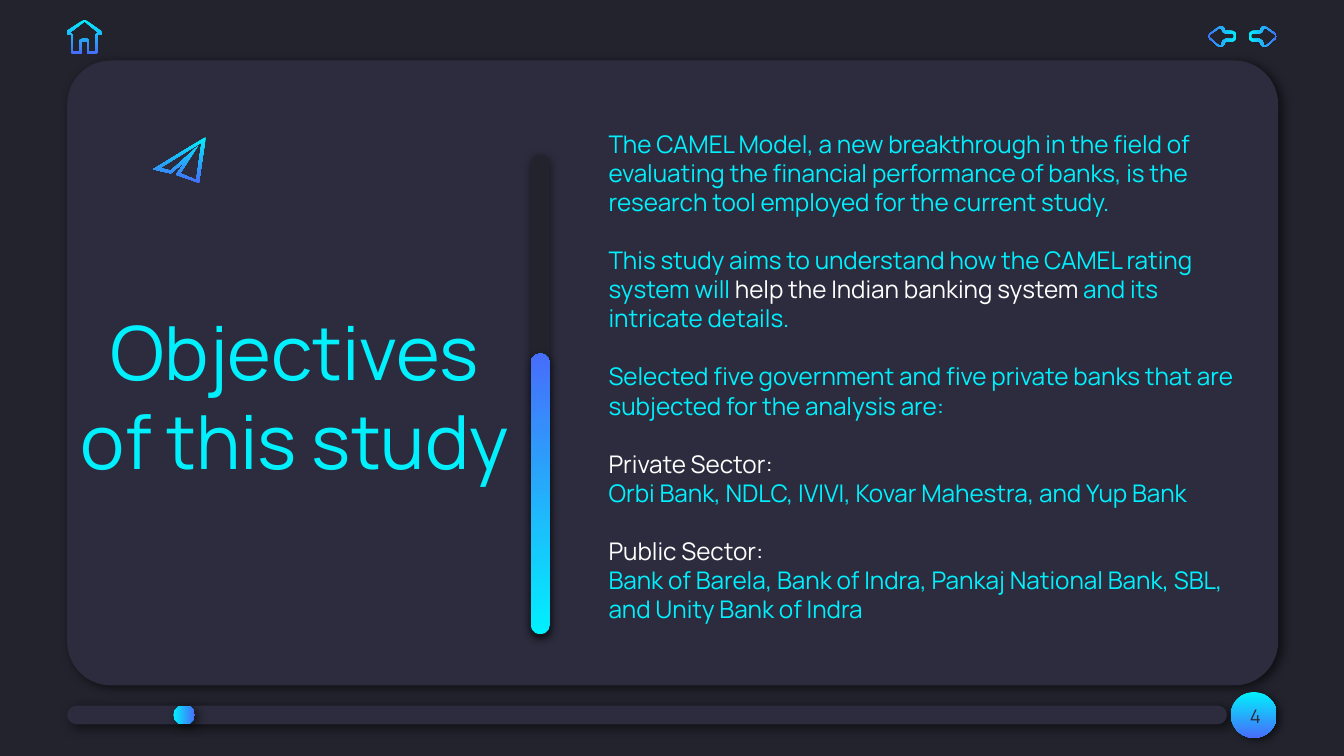
from dataclasses import dataclass

from lxml.etree import SubElement
from pptx import Presentation
from pptx.dml.color import RGBColor
from pptx.enum.shapes import MSO_SHAPE
from pptx.enum.text import MSO_ANCHOR, MSO_AUTO_SIZE, PP_ALIGN
from pptx.oxml.ns import qn
from pptx.util import Inches, Pt

SLIDE_W = Inches(10)
SLIDE_H = SLIDE_W * 9 // 16
CELL = SLIDE_W // 100  # square grid cell, 100 columns across the slide
ICON_UNIT = CELL // 10

DOWN, UP, RIGHT, LEFT = 270, 90, 0, 180  # gradient angles, cyan to blue


@dataclass(frozen=True)
class Theme:
    font: str = "Manrope"
    background: str = "23232E"
    panel: str = "2C2C3E"
    cyan: str = "01F0FD"
    blue: str = "476DFA"
    white: str = "FFFFFF"
    title_size: float = 40
    body_size: float = 13
    number_size: float = 10
    leading: float = 1.2


@dataclass(frozen=True)
class Shadow:
    alpha: int
    blur: float
    dist: float
    angle: int


THEME = Theme()
PANEL_SHADOW = Shadow(60, 5.6, 2.2, 33)
BADGE_SHADOW = Shadow(60, 4.5, 2.2, 33)
BAR_SHADOW = Shadow(50, 4.5, 1.5, 90)

# Icon contours (outer, inner) in icon units
PLANE = [
    [(39, 0), (0, 24), (13, 27), (24, 18), (17, 28), (34, 34)],
    [(36, 4), (32, 32), (20, 27), (33, 7), (13, 25), (5, 23)],
]
HOUSE = [
    [(12, 0), (0, 8), (0, 10), (1, 11), (3, 11), (3, 24), (4, 25), (11, 25),
     (11, 16), (15, 16), (15, 25), (21, 25), (23, 24), (23, 11), (25, 11),
     (26, 10), (25, 8), (14, 0)],
    [(13, 1), (24, 10), (22, 10), (21, 11), (21, 23), (16, 23), (16, 15),
     (15, 14), (11, 14), (9, 15), (9, 23), (4, 23), (4, 11), (3, 10), (1, 10)],
]
ARROW = [
    [(0, 7), (0, 9), (1, 11), (3, 12), (8, 12), (9, 13), (9, 14), (11, 16),
     (13, 16), (20, 10), (21, 8), (20, 6), (13, 1), (11, 0), (9, 2), (9, 3),
     (8, 4), (3, 4), (1, 5)],
    [(2, 7), (3, 6), (8, 6), (10, 5), (11, 3), (11, 2), (13, 2), (20, 7),
     (20, 9), (13, 15), (11, 15), (11, 13), (10, 11), (8, 10), (3, 10), (2, 9)],
]
ARROW_WIDTH = 21

# Each paragraph: (starts a new block, [(text, colour), ...])
BODY = [
    (False, [("The CAMEL Model, a new breakthrough in the field of evaluating "
              "the financial performance of banks, is the research tool "
              "employed for the current study.", THEME.cyan)]),
    (True, [("This study aims to understand how the CAMEL rating system will ",
             THEME.cyan),
            ("help the Indian banking system", THEME.white),
            (" and its intricate details.", THEME.cyan)]),
    (True, [("Selected five government and five private banks that are "
             "subjected for the analysis are:", THEME.cyan)]),
    (True, [("Private Sector:", THEME.white)]),
    (False, [("Orbi Bank, NDLC, IVIVI, Kovar Mahestra, and Yup Bank",
              THEME.cyan)]),
    (True, [("Public Sector:", THEME.white)]),
    (False, [("Bank of Barela, Bank of Indra, Pankaj National Bank, SBL, "
              "and Unity Bank of Indra", THEME.cyan)]),
]


def cells(*values):
    return [round(v * CELL) for v in values]


def rgb(color):
    return RGBColor.from_string(color)


def paint(sp, color=None, angle=None):
    """Fill with one colour, or with the cyan-blue gradient if none is given."""
    if color:
        sp.fill.solid()
        sp.fill.fore_color.rgb = rgb(color)
    else:
        sp.fill.gradient()
        sp.fill.gradient_angle = angle
        for stop, c in zip(sp.fill.gradient_stops, (THEME.cyan, THEME.blue)):
            stop.color.rgb = rgb(c)
    sp.line.fill.background()
    sp.shadow.inherit = False


def cast_shadow(sp, shadow):
    effects = sp.element.spPr.find(qn("a:effectLst"))
    outer = SubElement(effects, qn("a:outerShdw"), blurRad=str(Pt(shadow.blur)),
                       dist=str(Pt(shadow.dist)), dir=str(shadow.angle * 60000),
                       algn="bl", rotWithShape="0")
    color = SubElement(outer, qn("a:srgbClr"), val="000000")
    SubElement(color, qn("a:alpha"), val=str(shadow.alpha * 1000))


def add_block(shapes, kind, box, shadow, color=None, angle=None, corner=0.5):
    sp = shapes.add_shape(kind, *cells(*box))
    if kind == MSO_SHAPE.ROUNDED_RECTANGLE:
        sp.adjustments[0] = corner
    paint(sp, color, angle)
    cast_shadow(sp, shadow)
    return sp


def add_icon(shapes, contours, left, top, angle):
    fb = None
    for first, *rest in contours:
        if fb is None:
            fb = shapes.build_freeform(*first, scale=ICON_UNIT)
        else:
            fb.move_to(*first)
        fb.add_line_segments(rest, close=True)
    paint(fb.convert_to_shape(*cells(left, top)), angle=angle)


def mirrored(contours, width):
    return [[(width - x, y) for x, y in contour] for contour in contours]


def set_frame(tf):
    tf.word_wrap = True
    tf.auto_size = MSO_AUTO_SIZE.NONE
    tf.vertical_anchor = MSO_ANCHOR.MIDDLE
    tf.margin_left = tf.margin_right = tf.margin_top = tf.margin_bottom = CELL


def style_paragraph(p, size, colors, align):
    p.alignment = align
    p.line_spacing = Pt(size * THEME.leading)
    for r, color in zip(p.runs, colors):
        r.font.name = THEME.font
        r.font.size = Pt(size)
        r.font.color.rgb = rgb(color)


def set_label(sp, text, size, color):
    set_frame(sp.text_frame)
    sp.text_frame.text = text
    style_paragraph(sp.text_frame.paragraphs[0], size, [color], PP_ALIGN.CENTER)


def add_body(shapes, box):
    tf = shapes.add_textbox(*cells(*box)).text_frame
    set_frame(tf)
    for i, (new_block, parts) in enumerate(BODY):
        p = tf.add_paragraph() if i else tf.paragraphs[0]
        for text, _ in parts:
            p.add_run().text = text
        style_paragraph(p, THEME.body_size, [c for _, c in parts], PP_ALIGN.LEFT)
        p.space_before = Pt(THEME.body_size * THEME.leading if new_block else 0)


def add_title(s, box):
    title = s.shapes.title
    title.left, title.top, title.width, title.height = cells(*box)
    set_label(title, "Objectives of this study", THEME.title_size, THEME.cyan)
    s.shapes[-1].element.addnext(title.element)  # in front of the panel


def main():
    prs = Presentation()
    prs.slide_width, prs.slide_height = SLIDE_W, SLIDE_H
    s = prs.slides.add_slide(prs.slide_layouts[5])
    s.background.fill.solid()
    s.background.fill.fore_color.rgb = rgb(THEME.background)
    shapes = s.shapes
    pill = MSO_SHAPE.ROUNDED_RECTANGLE

    add_block(shapes, pill, (5, 4.5, 90.1, 46.5), PANEL_SHADOW, THEME.panel,
              corner=0.07)
    add_block(shapes, pill, (5, 52.5, 86.3, 1.4), PANEL_SHADOW, THEME.panel)
    add_block(shapes, MSO_SHAPE.OVAL, (91.6, 51.5, 3.4, 3.4), BADGE_SHADOW,
              angle=DOWN)
    number = shapes.add_textbox(*cells(90.4, 51.1, 6, 4.3))
    set_label(number, "4", THEME.number_size, THEME.panel)

    add_title(s, (4.4, 17.1, 35.1, 24.6))
    add_body(shapes, (44.3, 6.2, 49.6, 43.6))

    add_icon(shapes, PLANE, 11.4, 10.2, DOWN)
    add_icon(shapes, ARROW, 92.9, 1.9, RIGHT)
    add_icon(shapes, mirrored(ARROW, ARROW_WIDTH), 89.9, 1.9, LEFT)
    add_block(shapes, pill, (12.9, 52.5, 1.6, 1.4), PANEL_SHADOW, angle=RIGHT)
    add_icon(shapes, HOUSE, 5, 1.5, DOWN)

    bar = shapes.add_group_shape().shapes
    add_block(bar, pill, (39.5, 11.5, 1.4, 35.8), BAR_SHADOW, THEME.background)
    add_block(bar, pill, (39.5, 26.3, 1.4, 20.9), BAR_SHADOW, angle=UP)

    prs.save("out.pptx")


if __name__ == "__main__":
    main()
